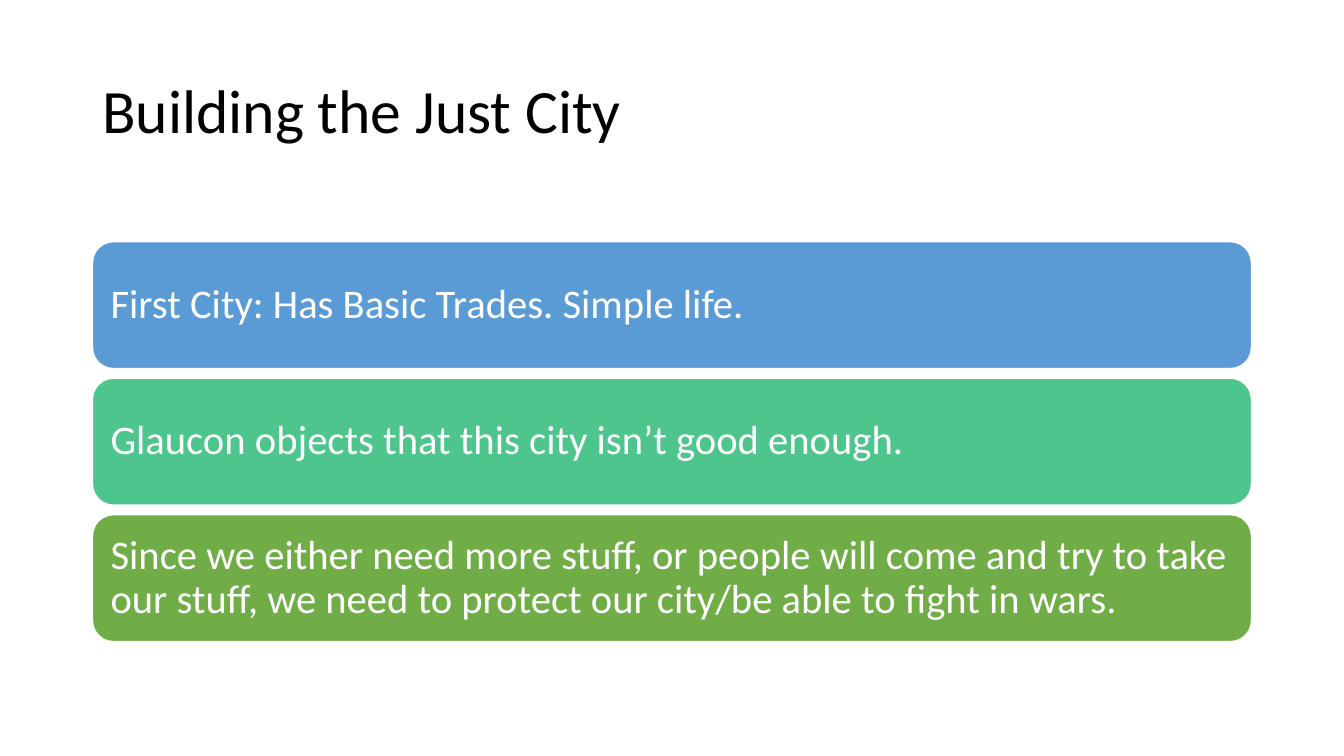
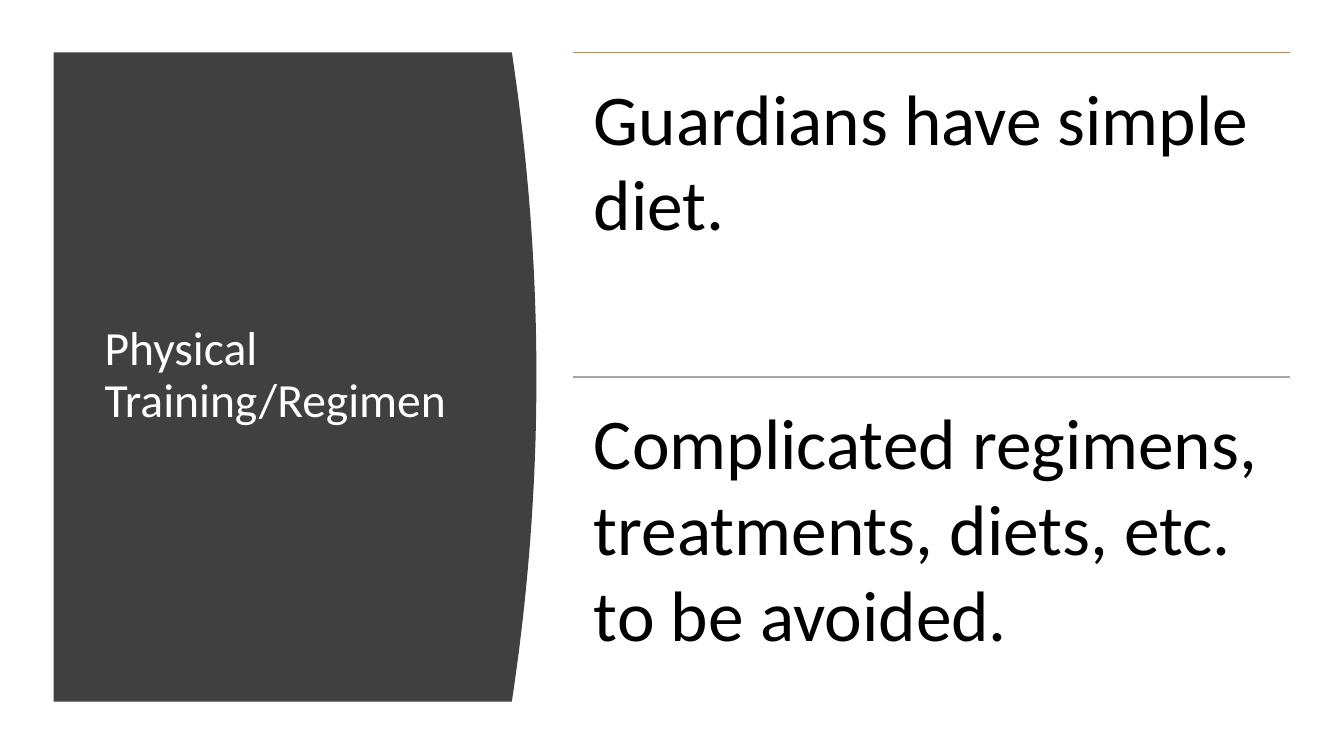
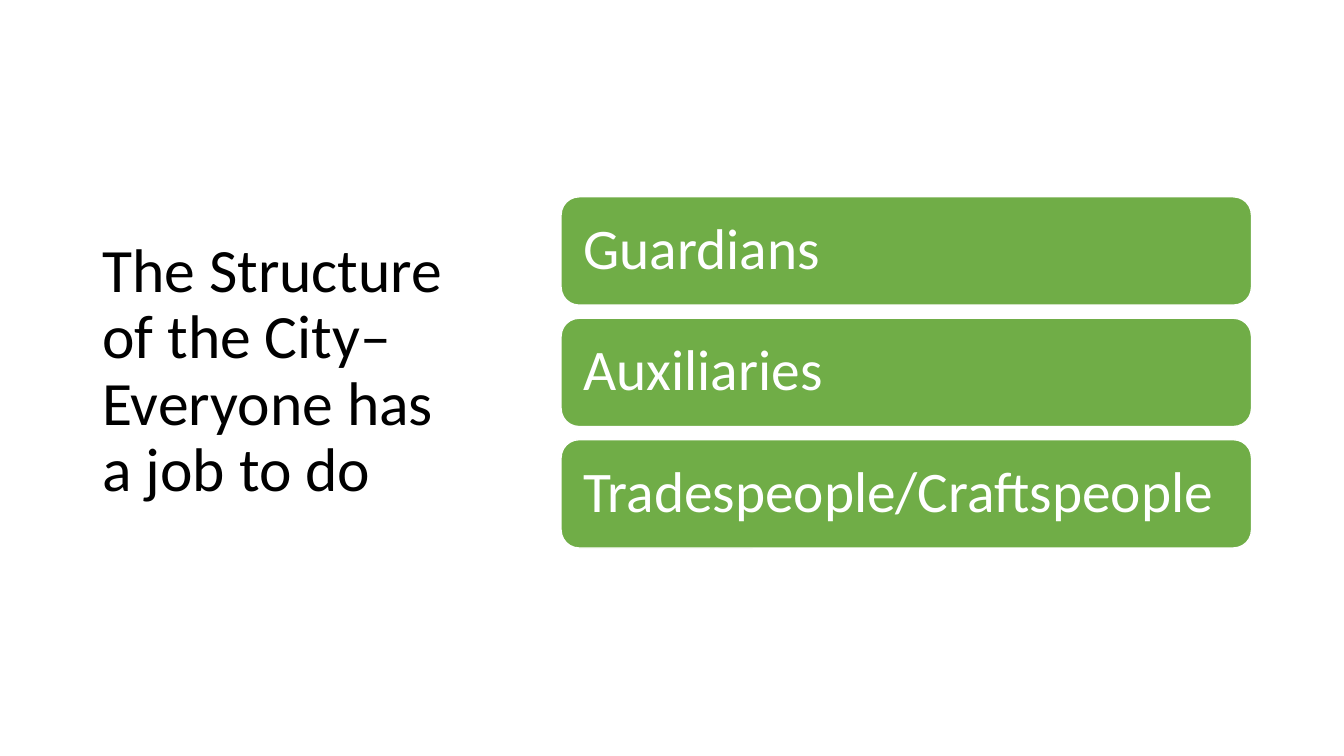
from lxml import etree
from pptx import Presentation
from pptx.dml.color import RGBColor
from pptx.enum.shapes import MSO_CONNECTOR, MSO_SHAPE
from pptx.enum.text import MSO_ANCHOR, PP_ALIGN
from pptx.oxml.ns import qn
from pptx.util import Cm, Pt

ROUNDED = MSO_SHAPE.ROUNDED_RECTANGLE
STRAIGHT = MSO_CONNECTOR.STRAIGHT
TOP, MIDDLE = MSO_ANCHOR.TOP, MSO_ANCHOR.MIDDLE
LEFT = PP_ALIGN.LEFT

FONT = "Calibri"
BLACK = RGBColor(0x00, 0x00, 0x00)
WHITE = RGBColor(0xFF, 0xFF, 0xFF)
BLUE = RGBColor(0x5B, 0x9B, 0xD5)
TEAL = RGBColor(0x4D, 0xC5, 0x8D)
GREEN = RGBColor(0x70, 0xAD, 0x47)
ORANGE = RGBColor(0xED, 0x7D, 0x31)
GREY = RGBColor(0xA5, 0xA5, 0xA5)
CHARCOAL = RGBColor(0x40, 0x40, 0x40)


def write(shape, text, size, color, anchor=MIDDLE, spacing=0.9, inset=None):
    """Fill a shape or text box with one left-aligned paragraph."""
    frame = shape.text_frame
    frame.word_wrap = True
    frame.vertical_anchor = anchor
    if inset is not None:
        frame.margin_left = frame.margin_right = Cm(inset)
        frame.margin_top = frame.margin_bottom = Cm(inset)
    paragraph = frame.paragraphs[0]
    paragraph.text = text
    paragraph.alignment = LEFT
    paragraph.line_spacing = spacing
    paragraph.font.name = FONT
    paragraph.font.size = Pt(size)
    paragraph.font.color.rgb = color


def stack_bars(slide, bars, left, top, width, height, pitch, size, inset):
    """Stack rounded bars, one per (text, fill) pair."""
    for row, (text, fill) in enumerate(bars):
        bar = slide.shapes.add_shape(
            ROUNDED, Cm(left), Cm(top + row * pitch), Cm(width), Cm(height))
        bar.shadow.inherit = False
        bar.fill.solid()
        bar.fill.fore_color.rgb = fill
        bar.line.color.rgb = WHITE
        bar.line.width = Pt(1)
        write(bar, text, size, WHITE, inset=inset)


prs = Presentation()
prs.slide_width, prs.slide_height = Cm(33.87), Cm(19.05)
blank = prs.slide_layouts[6]
just_city, training, structure = [prs.slides.add_slide(blank) for _ in range(3)]

# Titles: slide, text, left, top, width, height, size, colour
titles = [
    (just_city, "Building the Just City", 2.33, 1.01, 29.21, 3.68, 44, BLACK),
    (structure, "The Structure of the City– Everyone has a job to do",
     2.33, 1.73, 9.37, 15.3, 44, BLACK),
]

# Slide 1: steps towards the just city
stack_bars(just_city, [
    ("First City: Has Basic Trades. Simple life.", BLUE),
    ("Glaucon objects that this city isn’t good enough.", TEAL),
    ("Since we either need more stuff, or people will come and try to take "
     "our stuff, we need to protect our city/be able to fight in wars.", GREEN),
], left=2.33, top=6.09, width=29.21, height=3.2, pitch=3.44, size=29, inset=0.3)

# Slide 2: dark panel whose right side is a shallow parabola
PANEL_LEFT, PANEL_TOP, PANEL_HEIGHT = 1.35, 1.32, 16.36
CORNER, BULGE, STEPS = 12.9, 0.62, 40
curve = []
for step in range(STEPS + 1):
    offset = 2 * step / STEPS - 1
    curve.append((Cm(CORNER + BULGE * (1 - offset ** 2)),
                  Cm(PANEL_TOP + PANEL_HEIGHT * step / STEPS)))
outline = training.shapes.build_freeform(Cm(PANEL_LEFT), Cm(PANEL_TOP))
outline.add_line_segments(curve + [(Cm(PANEL_LEFT), Cm(PANEL_TOP + PANEL_HEIGHT))])
panel = outline.convert_to_shape()
panel.shadow.inherit = False
panel.fill.solid()
panel.fill.fore_color.rgb = CHARCOAL
panel.line.fill.background()
titles.append((training, "Physical Training/Regimen",
               2.39, 2.82, 9.5, 13.31, 34, WHITE))

# Slide 2: rules of the regimen, each under a thin line
RULE_LEFT, RULE_WIDTH, RULE_HEIGHT = 14.43, 18.08, PANEL_HEIGHT / 2
rules = [
    ("Guardians have simple diet.", ORANGE),
    ("Complicated regimens, treatments, diets, etc. to be avoided.", GREY),
]
for row, (text, color) in enumerate(rules):
    y = Cm(PANEL_TOP + row * RULE_HEIGHT)
    divider = training.shapes.add_connector(
        STRAIGHT, Cm(RULE_LEFT), y, Cm(RULE_LEFT + RULE_WIDTH), y)
    divider.line.color.rgb = color
    divider.line.width = Pt(1)
    etree.SubElement(divider._element.spPr, qn("a:effectLst"))
    rule = training.shapes.add_textbox(
        Cm(RULE_LEFT), y, Cm(RULE_WIDTH), Cm(RULE_HEIGHT))
    write(rule, text, 51, BLACK, anchor=TOP, spacing=1.0, inset=0.54)

# Slide 3: classes of the city
classes = ["Guardians", "Auxiliaries", "Tradespeople/Craftspeople"]
stack_bars(structure, [(name, GREEN) for name in classes],
           left=14.14, top=4.96, width=17.4, height=2.73, pitch=3.06,
           size=41, inset=0.43)

# Titles on all slides
for slide, text, left, top, width, height, size, color in titles:
    title = slide.shapes.add_textbox(Cm(left), Cm(top), Cm(width), Cm(height))
    write(title, text, size, color)

prs.save("out.pptx")
